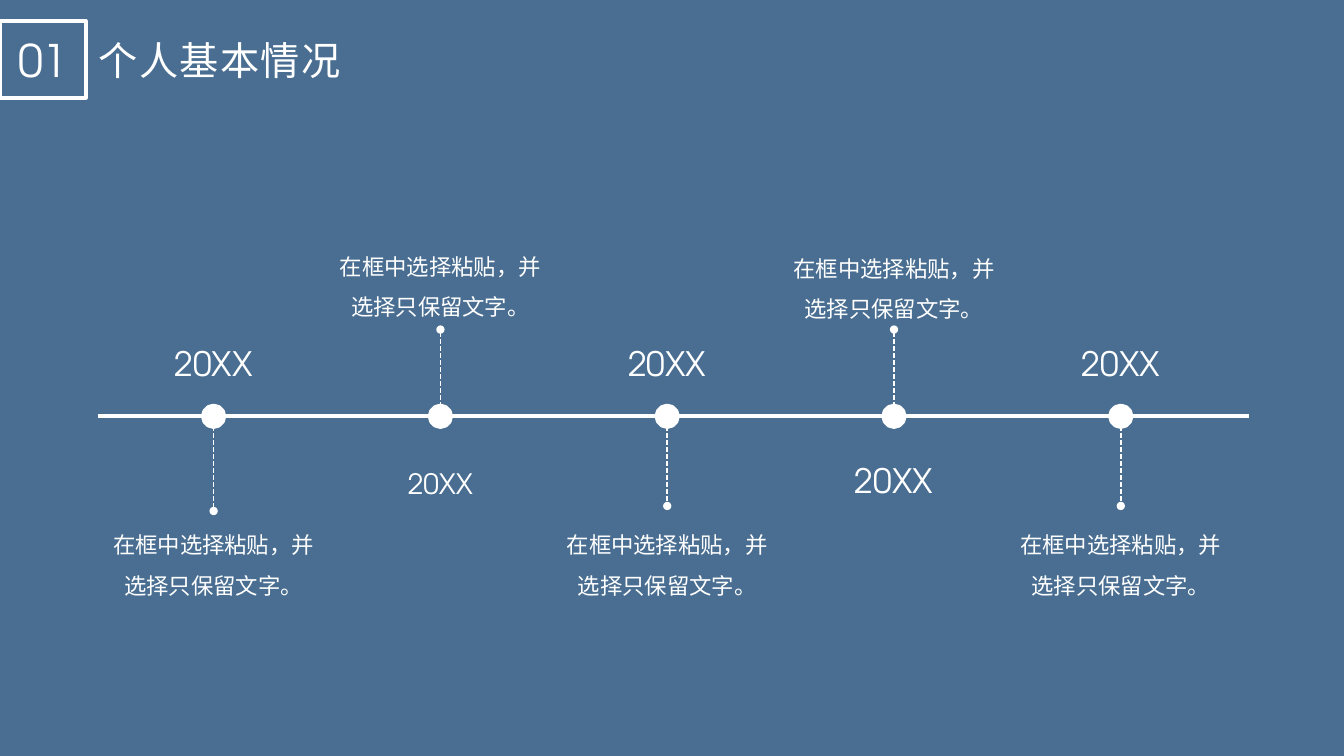
from lxml.etree import SubElement
from pptx import Presentation
from pptx.dml.color import RGBColor
from pptx.enum.dml import MSO_LINE_DASH_STYLE as Dash
from pptx.enum.shapes import MSO_CONNECTOR as Connector, MSO_SHAPE as Shape
from pptx.enum.text import MSO_ANCHOR as Anchor, MSO_AUTO_SIZE as AutoSize, PP_ALIGN as Align
from pptx.oxml.ns import qn
from pptx.util import Pt

COLORS = {"background": "496E91", "white": "FFFFFF"}
FONT = "TeX Gyre Adventor"
DOT = 13.5
STEP = 162
CAPTION = "在框中选择粘贴，并选择只保留文字。"

MILESTONES = [
    {"year_top": 241.2, "caption_top": 366.5, "stem_end": 365},
    {"year_top": 329.8, "caption_top": 167.8, "stem_end": 235.4, "year_size": 20},
    {"year_top": 241.2, "caption_top": 366.5, "stem_end": 361.4},
    {"year_top": 324.7, "caption_top": 169.2, "stem_end": 235.4},
    {"year_top": 241.2, "caption_top": 366.5, "stem_end": 361.4},
]


def color(name):
    return RGBColor.from_string(COLORS[name])


def write(frame, text, size, align=Align.CENTER, spacing=None, tracking=None):
    para = frame.paragraphs[0]
    para.alignment = align
    if spacing:
        para.line_spacing = spacing
    span = para.add_run()
    span.text = text
    span.font.name = FONT
    span.font.size = Pt(size)
    span.font.color.rgb = color("white")
    if tracking:
        span.font._element.set("spc", str(tracking * 100))


def add_text(page, box, text, size, wrap=True, anchor=Anchor.TOP, **format):
    frame = page.shapes.add_textbox(*map(Pt, box)).text_frame
    frame.word_wrap = wrap
    frame.auto_size = AutoSize.SHAPE_TO_FIT_TEXT
    frame.vertical_anchor = anchor
    write(frame, text, size, **format)


def add_shape(page, kind, box, line_width, filled):
    shape = page.shapes.add_shape(kind, *map(Pt, box))
    shape.shadow.inherit = False
    if filled:
        shape.fill.solid()
        shape.fill.fore_color.rgb = color("white")
    else:
        shape.fill.background()
    shape.line.color.rgb = color("white")
    shape.line.width = Pt(line_width)
    return shape


def add_line(page, start, end, width, stem=False):
    line = page.shapes.add_connector(Connector.STRAIGHT, *map(Pt, start + end))
    line.line.color.rgb = color("white")
    line.line.width = Pt(width)
    if stem:
        line.line.dash_style = Dash.SQUARE_DOT
        SubElement(line.line._get_or_add_ln(), qn("a:tailEnd"), type="oval")
    SubElement(line._element.spPr, qn("a:effectLst"))


def add_heading(page, box, number, title):
    left, top, width, height = box
    badge = add_shape(page, Shape.RECTANGLE, (left, top, 61.2, height), 3, False)
    badge.text_frame.vertical_anchor = Anchor.MIDDLE
    write(badge.text_frame, number, 32)
    add_text(page, (left + 63.4, top + 7.2, width - 63.4, 41), title, 28,
             wrap=False, anchor=Anchor.MIDDLE, align=Align.LEFT, tracking=1)


def add_milestone(page, center, axis, year_top, caption_top, stem_end, year_size=24):
    radius = DOT / 2
    direction = 1 if stem_end > axis else -1
    add_shape(page, Shape.OVAL, (center - radius, axis - radius, DOT, DOT), 4.5, True)
    add_line(page, (center, axis + direction * radius), (center, stem_end), 1.25, stem=True)
    add_text(page, (center - 35.3, year_top, 70.6, 36), "20XX", year_size, wrap=False)
    add_text(page, (center - 84.6, caption_top, 169.2, 62), CAPTION, 16, spacing=1.5)


def add_timeline(page, box):
    left, top, width, height = box
    axis = top + height / 2
    add_line(page, (left, axis), (left + width, axis), 3)
    for index, milestone in enumerate(MILESTONES):
        add_milestone(page, left + 82.8 + index * STEP, axis, **milestone)


def main():
    deck = Presentation()
    deck.slide_width, deck.slide_height = Pt(960), Pt(540)
    page = deck.slides.add_slide(deck.slide_layouts[6])
    page.background.fill.solid()
    page.background.fill.fore_color.rgb = color("background")
    add_timeline(page, (69.8, 167.4, 822.2, 260))
    add_heading(page, (0, 15.1, 253.4, 54.7), "01", "个人基本情况")
    deck.save("out.pptx")


if __name__ == "__main__":
    main()
